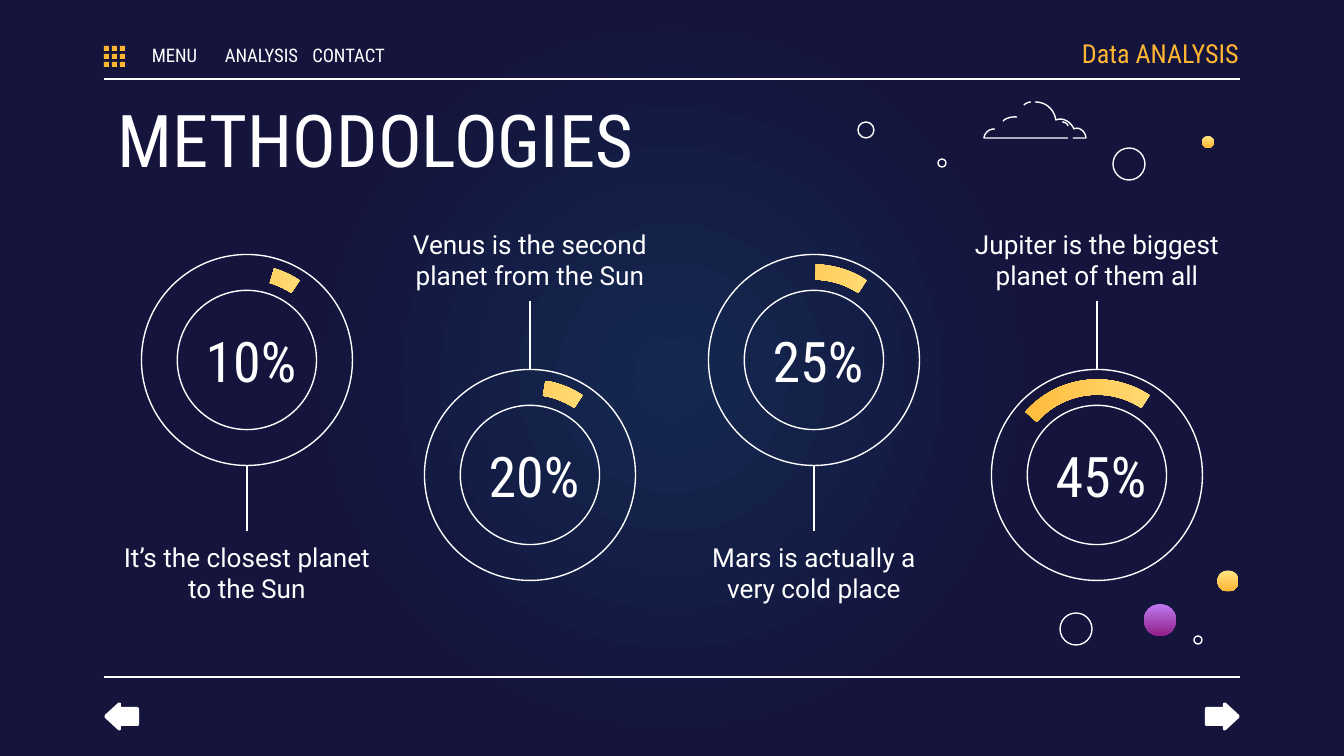
"""Build the METHODOLOGIES slide with four ring gauges."""
from dataclasses import dataclass

from lxml.etree import SubElement
from pptx import Presentation
from pptx.dml.color import RGBColor as RGB
from pptx.enum.shapes import MSO_CONNECTOR as Conn, MSO_SHAPE as Kind
from pptx.enum.text import MSO_ANCHOR as Anchor, PP_ALIGN as Align
from pptx.oxml.ns import qn
from pptx.util import Emu, Pt

PX = 914400 / 134.4
WIDE, HIGH = 1344, 756
LEFT, RIGHT = 104, 1240


@dataclass(frozen=True)
class Theme:
    """Colours, fonts and type sizes."""
    white: str = "FFFFFF"
    gold: str = "FFB632"
    warm: tuple = ("FFE485", "FFB632")
    plum: tuple = ("BE7AF3", "921D87")
    sky: tuple = ((0, "142850"), (50, "14143C"), (100, "14143C"))
    slim: str = "Roboto Condensed"
    body: str = "Roboto"
    head: int = 39
    rate: int = 30
    text: int = 14
    menu: int = 10
    rule: float = 0.75


LOOK = Theme()

GAUGES = (
    ("10%", "It’s the closest planet to the Sun", 196.47),
    ("20%", "Venus is the second planet from the Sun", 189.29),
    ("25%", "Mars is actually a very cold place", 181.15),
    ("45%", "Jupiter is the biggest planet of them all", 131.39),
)
RINGS = ((866, 130, 16), (942, 163, 8), (1129, 164, 32),
         (1076, 629, 32), (1198, 640, 8))
BALLS = ((1160, 620, 32, LOOK.plum), (1208, 142, 12, LOOK.warm),
         (1228, 581, 21, LOOK.warm))
CLOUD = (
    ((1035, 102), (1046, 102, 1054, 109, 1056, 120),
     (1063, 117, 1071, 122, 1074, 129),
     (1079, 126, 1086, 132, 1086, 138), (1073, 138)),
    ((1031, 102), (1031, 102, 1027, 102, 1024, 105)),
    ((1068, 138), (984, 138), (984, 138, 985, 129, 995, 129)),
    ((1062, 122), (1062, 122, 1067, 122, 1068, 126)),
    ((1017, 117), (1017, 117, 1008, 116, 1003, 121)),
)
ARROW = (
    (118, 730), (105, 718), (105, 718, 104, 717, 105, 715),
    (118, 703), (120, 702, 121, 703, 121, 704),
    (121, 706), (121, 707, 121, 707, 122, 707),
    (137, 707), (138, 707, 139, 708, 139, 709),
    (139, 724), (139, 726, 138, 726, 137, 726),
    (122, 726), (121, 726, 121, 727, 121, 727),
    (121, 729), (121, 730, 120, 731, 118, 730),
)


def px(num):
    """Turn px into EMU."""
    return Emu(round(num * PX))


def paint(shape, fill=None, line=None):
    """Set a plain, graded or empty fill and an optional outline."""
    shape.shadow.inherit = False
    if fill is None:
        shape.fill.background()
    elif isinstance(fill, tuple):
        shape.fill.gradient()
        shape.fill.gradient_angle = 270
        for stop, tone in zip(shape.fill.gradient_stops, fill):
            stop.color.rgb = RGB.from_string(tone)
    else:
        shape.fill.solid()
        shape.fill.fore_color.rgb = RGB.from_string(fill)
    if line:
        shape.line.color.rgb = RGB.from_string(line)
        shape.line.width = Pt(LOOK.rule)
    else:
        shape.line.fill.background()


def add_form(tree, kind, box, fill=None, line=None):
    """Add a preset shape."""
    shape = tree.add_shape(kind, *map(px, box))
    paint(shape, fill, line)
    return shape


def add_disc(tree, kind, spot, size, fill=None, line=None):
    """Add a round shape about its centre."""
    x, y = spot
    box = (x - size / 2, y - size / 2, size, size)
    return add_form(tree, kind, box, fill, line)


def add_text(tree, text, box, size, font=LOOK.slim, tone=LOOK.white,
             align=Align.CENTER, anchor=Anchor.MIDDLE, sides=(13, 13)):
    """Add a wrapped one-paragraph text box."""
    label = tree.add_textbox(*map(px, box))
    frame = label.text_frame
    frame.word_wrap = True
    frame.vertical_anchor = anchor
    frame.margin_left, frame.margin_right = map(px, sides)
    frame.margin_top = frame.margin_bottom = px(13)
    frame.text = text
    para = frame.paragraphs[0]
    para.alignment = align
    face = para.runs[0].font
    face.name, face.size = font, Pt(size)
    face.color.rgb = RGB.from_string(tone)
    return label


def add_line(tree, start, end):
    """Add a thin white connector."""
    line = tree.add_connector(Conn.STRAIGHT, *map(px, start + end))
    line.line.color.rgb = RGB.from_string(LOOK.white)
    line.line.width = Pt(LOOK.rule)
    SubElement(line._element.spPr, qn("a:effectLst"))
    return line


def trace(route, steps=10):
    """List the points of a route of lines and cubic curves."""
    spots = [route[0]]
    for part in route[1:]:
        if len(part) == 2:
            spots.append(part)
            continue
        x, y = spots[-1]
        for step in range(1, steps + 1):
            t = step / steps
            u = 1 - t
            mix = (u ** 3, 3 * u * u * t, 3 * u * t * t, t ** 3)
            spots.append(tuple(
                sum(m * v for m, v in zip(mix, axis))
                for axis in ((x, *part[::2]), (y, *part[1::2]))))
    return spots


def add_path(tree, spots, close=False, fill=None, line=None):
    """Add a freeform through the given points."""
    dots = [(px(x), px(y)) for x, y in spots]
    form = tree.build_freeform(*dots[0], scale=1.0)
    form.add_line_segments(dots[1:], close=close)
    paint(form.convert_to_shape(), fill, line)


def add_sky(slide):
    """Give the slide a round graded background."""
    slide.background.fill.gradient()
    grad = slide._element.find(".//" + qn("a:gradFill"))
    for child in list(grad):
        grad.remove(child)
    stops = SubElement(grad, qn("a:gsLst"))
    for place, tone in LOOK.sky:
        stop = SubElement(stops, qn("a:gs"), pos=str(place * 1000))
        SubElement(stop, qn("a:srgbClr"), val=tone)
    ring = SubElement(grad, qn("a:path"), {"path": "circle"})
    SubElement(ring, qn("a:fillToRect"), dict.fromkeys("ltrb", "50000"))


def add_gauge(tree, col, rate, note, angle):
    """Add a ring with its arc, rate, note and joining line."""
    low = col % 2
    x, y = 247 + col * 567 // 2, 475 if low else 360
    ring = add_disc(tree, Kind.DONUT, (x, y), 211, line=LOOK.white)
    ring.adjustments[0] = 0.17
    arc = add_disc(tree, Kind.BLOCK_ARC, (x, y), 191, LOOK.warm)
    arc.rotation = 90
    for spot, size in enumerate((angle * 0.6, 213.49 * 0.6, 0.08)):
        arc.adjustments[spot] = size
    add_text(tree, rate, (x - 79, y - 41, 166, 83), LOOK.rate)
    top = 218 if low else 531
    label = add_text(tree, note, (x - 142, top, 284, 83), LOOK.text, LOOK.body)
    edge = y - 105 if low else y + 105
    line = add_line(tree, (x, edge), (x, top))
    line.end_connect(label, 2 if low else 0)


def add_head(tree):
    """Add the menu, the section name and the title."""
    grid = tree.add_group_shape().shapes
    for spot in range(9):
        col, row = divmod(spot, 3)
        add_form(grid, Kind.RECTANGLE,
                 (LEFT + 8 * col, 46 + 8 * row, 5, 5), LOOK.gold)
    for col, word in enumerate(("MENU", "ANALYSIS", "CONTACT")):
        add_text(tree, word, (136 + 87 * col, 40, 77, 31), LOOK.menu,
                 sides=(0, 0))
    add_text(tree, "Data ANALYSIS", (1038, 31, 201, 44), LOOK.text,
             tone=LOOK.gold, align=Align.RIGHT, sides=(13, 0))
    add_text(tree, "METHODOLOGIES", (105, 82, 1134, 89), LOOK.head,
             align=Align.LEFT, anchor=Anchor.TOP)


def add_decor(tree):
    """Add the planets, the cloud and the two arrows."""
    for x, y, size in RINGS:
        add_disc(tree, Kind.OVAL, (x, y), size, line=LOOK.white)
    for x, y, size, fill in BALLS:
        add_disc(tree, Kind.OVAL, (x, y), size, fill)
    cloud = tree.add_group_shape().shapes
    for route in CLOUD:
        add_path(cloud, trace(route), line=LOOK.white)
    back = trace(ARROW)
    for spots in (back, [(WIDE - x, y) for x, y in back]):
        add_path(tree, spots, True, LOOK.white)


def main():
    """Build and save the slide."""
    deck = Presentation()
    deck.slide_width, deck.slide_height = px(WIDE), px(HIGH)
    slide = deck.slides.add_slide(deck.slide_layouts[6])
    add_sky(slide)
    tree = slide.shapes
    for y in (79, 677):
        add_line(tree, (LEFT, y), (RIGHT, y))
    for col, gauge in enumerate(GAUGES):
        add_gauge(tree, col, *gauge)
    add_head(tree)
    add_decor(tree)
    deck.save("out.pptx")


if __name__ == "__main__":
    main()
